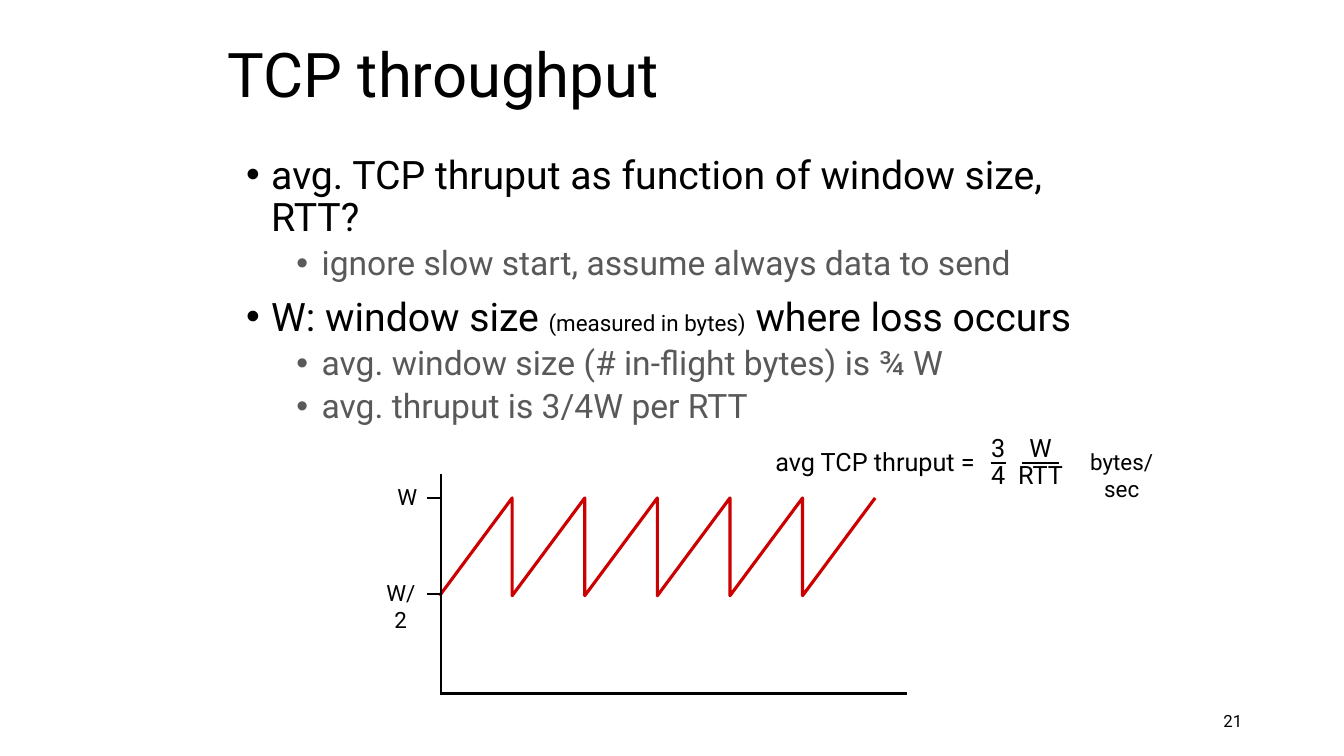
from lxml import etree
from pptx import Presentation
from pptx import util as u
from pptx.dml import color
from pptx.enum import shapes, text
from pptx.oxml import ns

INK, GREY, RED = "000000", "595959", "CC0000"
LEFT, MID, RIGHT = text.PP_ALIGN.LEFT, text.PP_ALIGN.CENTER, text.PP_ALIGN.RIGHT


def rgb(code):
    return color.RGBColor.from_string(code)


def put(obj, **vals):
    for key, val in vals.items():
        setattr(obj, key, val)


def place(shape, *box):
    put(shape, **dict(zip(("left", "top", "width", "height"), map(u.Inches, box))))


def style(font, size, code=INK):
    put(font, name="Roboto", size=u.Pt(size))
    font.color.rgb = rgb(code)


def label(slide, words, box, size=18, wrap=False, align=MID):
    shape = slide.shapes.add_textbox(*map(u.Inches, box))
    put(shape.text_frame, word_wrap=wrap)
    para = shape.text_frame.paragraphs[0]
    put(para, text=words, alignment=align)
    style(para.runs[0].font, size)


def rule(slide, x1, y1, x2, y2):
    line = slide.shapes.add_connector(
        shapes.MSO_CONNECTOR.STRAIGHT, *map(u.Inches, (x1, y1, x2, y2)))
    line.line.color.rgb = rgb(INK)
    line.line.width = u.Pt(1.5)
    etree.SubElement(line.element.spPr, ns.qn("a:effectLst"))


def bullet(para, level, indent):
    props = para._p.get_or_add_pPr()
    props.set("marL", str(u.Inches(indent)))
    props.set("indent", str(u.Inches(-0.25)))
    for tag, key, val in (("a:buFont", "typeface", "Arial"), ("a:buChar", "char", "•")):
        etree.SubElement(props, ns.qn(tag)).set(key, val)
    put(para, level=level, alignment=LEFT, line_spacing=0.9, space_after=u.Pt(0))


def title(slide, words):
    shape = slide.shapes.title
    place(shape, 2.16, 0.26, 8.5, 1.02)
    put(shape.text_frame, text=words, word_wrap=True,
        auto_size=text.MSO_AUTO_SIZE.NONE, vertical_anchor=text.MSO_ANCHOR.MIDDLE)
    para = shape.text_frame.paragraphs[0]
    put(para, alignment=LEFT, line_spacing=0.9)
    style(para.runs[0].font, 44)


def body(slide, items):
    shape = slide.placeholders[1]
    place(shape, 2.34, 1.49, 9.04, 5.08)
    frame = shape.text_frame
    put(frame, word_wrap=True, auto_size=text.MSO_AUTO_SIZE.NONE,
        vertical_anchor=text.MSO_ANCHOR.TOP)
    looks = ((28, INK, 0.25, 10), (24, GREY, 0.75, 5))
    for i, (level, parts) in enumerate(items):
        para = frame.add_paragraph() if i else frame.paragraphs[0]
        size, code, indent, gap = looks[level]
        bullet(para, level, indent)
        put(para, space_before=u.Pt(gap if i else 0))
        for words in parts:
            run = para.add_run()
            run.text = words
            style(run.font, 16 if words.startswith("(") else size, code)


def saw(slide, left, step, high, low, teeth):
    pts = []
    for i in range(1, teeth + 1):
        x = left + i * step
        pts += [(x, high), (x, low)]
    pts.pop()  # the last tooth has no drop
    form = slide.shapes.build_freeform(u.Inches(left), u.Inches(low))
    form.add_line_segments([(u.Inches(x), u.Inches(y)) for x, y in pts], close=False)
    shape = form.convert_to_shape()
    shape.shadow.inherit = False
    shape.fill.background()
    shape.line.color.rgb = rgb(RED)
    shape.line.width = u.Pt(2.25)


def graph(slide):
    saw(slide, 4.36, 0.72, 4.94, 5.91, 6)
    # Axes and ticks
    rule(slide, 4.36, 6.88, 9, 6.88)
    rule(slide, 4.37, 4.7, 4.37, 6.89)
    for y in (4.94, 5.89):
        rule(slide, 4.24, y, 4.36, y)
    label(slide, "W", (3.84, 4.74, 0.4, 0.37), 16)
    label(slide, "W/2", (3.69, 5.7, 0.57, 0.37), 16, wrap=True)


def formula(slide):
    label(slide, "avg TCP thruput =", (7.51, 4.38, 2.34, 0.4))
    # Fractions: top, bottom, centre, bar width
    for top, low, mid, bar in (("3", "4", 9.9, 0.15), ("W", "RTT", 10.32, 0.37)):
        for words, y in ((top, 4.24), (low, 4.51)):
            label(slide, words, (mid - 0.45, y, 0.9, 0.4))
        rule(slide, mid - bar / 2, 4.59, mid + bar / 2, 4.59)
    label(slide, "bytes/sec", (10.65, 4.4, 0.95, 0.37), 16, wrap=True)


def main():
    deck = Presentation()
    put(deck, slide_width=u.Inches(13.33), slide_height=u.Inches(7.5))
    slide = deck.slides.add_slide(deck.slide_layouts[1])
    title(slide, "TCP throughput")
    body(slide, [
        (0, ["avg. TCP thruput as function of window size, RTT?"]),
        (1, ["ignore slow start, assume always data to send"]),
        (0, ["W: window size ", "(measured in bytes)", " where loss occurs"]),
        (1, ["avg. window size (# in-flight bytes) is ¾ W"]),
        (1, ["avg. thruput is 3/4W per RTT"]),
    ])
    graph(slide)
    formula(slide)
    # Page number
    label(slide, "21", (9.42, 7, 3, 0.4), 12, wrap=True, align=RIGHT)
    deck.save("out.pptx")


if __name__ == "__main__":
    main()
